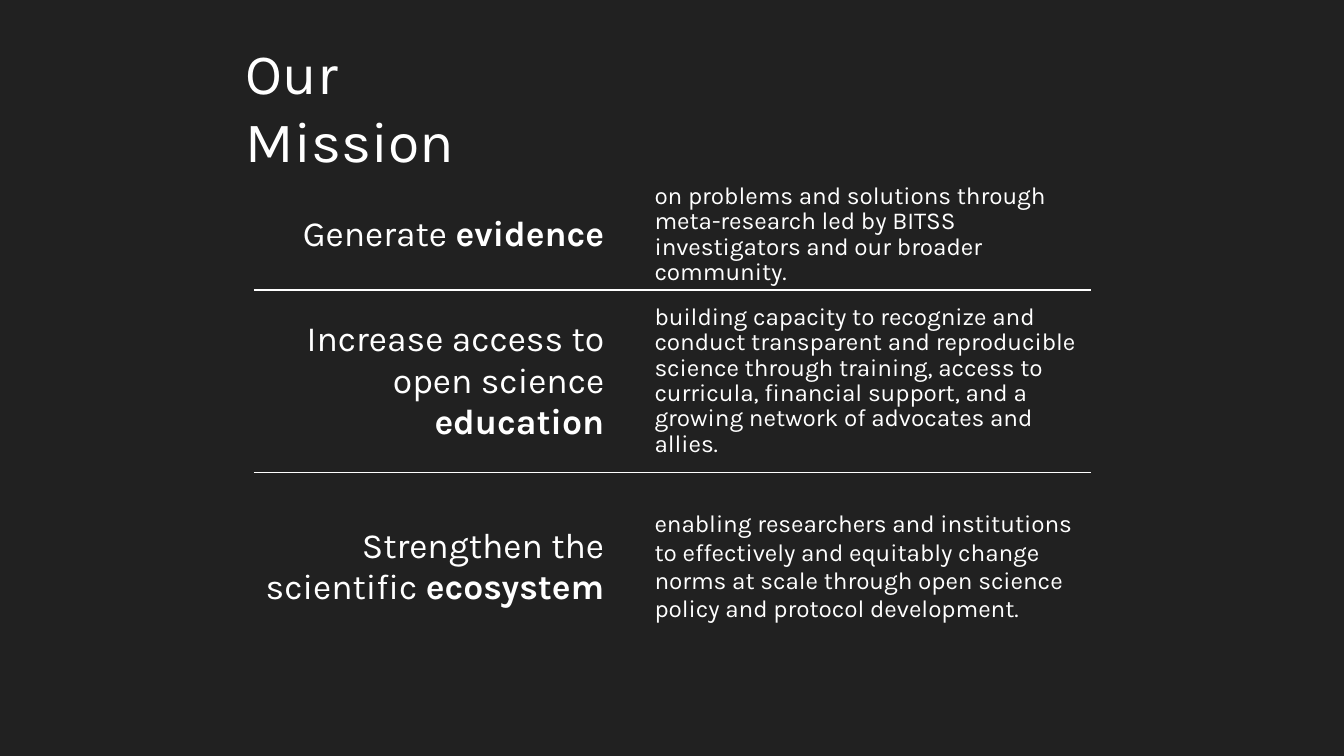
import pptx
import pptx.dml.color
import pptx.enum.text
import pptx.oxml
import pptx.oxml.ns
import pptx.util
from pptx.util import Cm

BACKGROUND = pptx.dml.color.RGBColor(0x21, 0x21, 0x21)
WHITE = pptx.dml.color.RGBColor(0xFF, 0xFF, 0xFF)
FONT = "Karla"
INSET = Cm(0.08)
COLUMN_WIDTHS = (6.7, 9.11)
ROW_HEIGHTS = (2.03, 3.45, 3.58)

# Goal, emphasised word, explanation, line spacing of the explanation
MISSIONS = [
    ("Generate ", "evidence",
     "on problems and solutions through\n"
     "meta-research led by BITSS investigators and our broader community.", 0.9),
    ("Increase access to open science ", "education",
     "building capacity to recognize and conduct transparent and reproducible "
     "science through training, access to curricula, financial support, and a "
     "growing network of advocates and allies.", 0.9),
    ("Strengthen the scientific ", "ecosystem",
     "enabling researchers and institutions to effectively and equitably change "
     "norms at scale through open science policy and protocol development.", 1.0),
]


def add_run(paragraph, text, size, bold=False):
    run = paragraph.add_run()
    run.text = text
    run.font.name = FONT
    run.font.size = pptx.util.Pt(size)
    run.font.bold = bold
    run.font.color.rgb = WHITE


def set_insets(frame):
    frame.margin_left = frame.margin_right = INSET
    frame.margin_top = frame.margin_bottom = INSET
    frame.vertical_anchor = pptx.enum.text.MSO_ANCHOR.MIDDLE


def set_borders(cell, visible_sides):
    """Draw a white line on the visible sides and none on the others."""
    properties = cell._tc.get_or_add_tcPr()
    namespace = pptx.oxml.ns.nsdecls("a")
    for index, side in enumerate("LRTB"):
        fill = "<a:noFill/>"
        if side in visible_sides:
            fill = f'<a:solidFill><a:srgbClr val="{WHITE}"/></a:solidFill>'
        properties.insert(index, pptx.oxml.parse_xml(
            f'<a:ln{side} {namespace} w="{pptx.util.Pt(1)}">{fill}</a:ln{side}>'))


def fill_goal(cell, goal, emphasis):
    paragraph = cell.text_frame.paragraphs[0]
    paragraph.alignment = pptx.enum.text.PP_ALIGN.RIGHT
    add_run(paragraph, goal, 19)
    add_run(paragraph, emphasis, 19, bold=True)


def fill_explanation(cell, text, line_spacing):
    paragraph = cell.text_frame.paragraphs[0]
    paragraph.line_spacing = line_spacing
    properties = paragraph._p.get_or_add_pPr()
    properties.set("marL", str(Cm(0.79)))
    properties.set("indent", "0")
    for index, line in enumerate(text.split("\n")):
        if index:
            paragraph.add_line_break()
        add_run(paragraph, line, 13)


def add_mission_table(slide):
    frame = slide.shapes.add_table(
        len(MISSIONS), len(COLUMN_WIDTHS), Cm(4.8), Cm(3.4),
        Cm(sum(COLUMN_WIDTHS)), Cm(sum(ROW_HEIGHTS)))
    table = frame.table
    table.first_row = table.horz_banding = False
    for column, width in zip(table.columns, COLUMN_WIDTHS):
        column.width = Cm(width)
    for row, height in zip(table.rows, ROW_HEIGHTS):
        row.height = Cm(height)

    last = len(MISSIONS) - 1
    for index, (goal, emphasis, text, line_spacing) in enumerate(MISSIONS):
        cells = table.rows[index].cells
        sides = ("T" if index > 0 else "") + ("B" if index < last else "")
        for cell in cells:
            set_insets(cell)
            cell.fill.background()
            set_borders(cell, sides)
        fill_goal(cells[0], goal, emphasis)
        fill_explanation(cells[1], text, line_spacing)


def add_title(slide, text):
    box = slide.shapes.add_textbox(Cm(4.57), Cm(1.27), Cm(5.51), Cm(1.45))
    frame = box.text_frame
    frame.word_wrap = True
    set_insets(frame)
    add_run(frame.paragraphs[0], text, 30.6)


def main():
    presentation = pptx.Presentation()
    presentation.slide_width = Cm(25.4)
    presentation.slide_height = Cm(14.29)
    slide = presentation.slides.add_slide(presentation.slide_layouts[6])

    # Background
    slide.background.fill.solid()
    slide.background.fill.fore_color.rgb = BACKGROUND

    # Content
    add_mission_table(slide)
    add_title(slide, "Our Mission")

    presentation.save("out.pptx")


if __name__ == "__main__":
    main()
